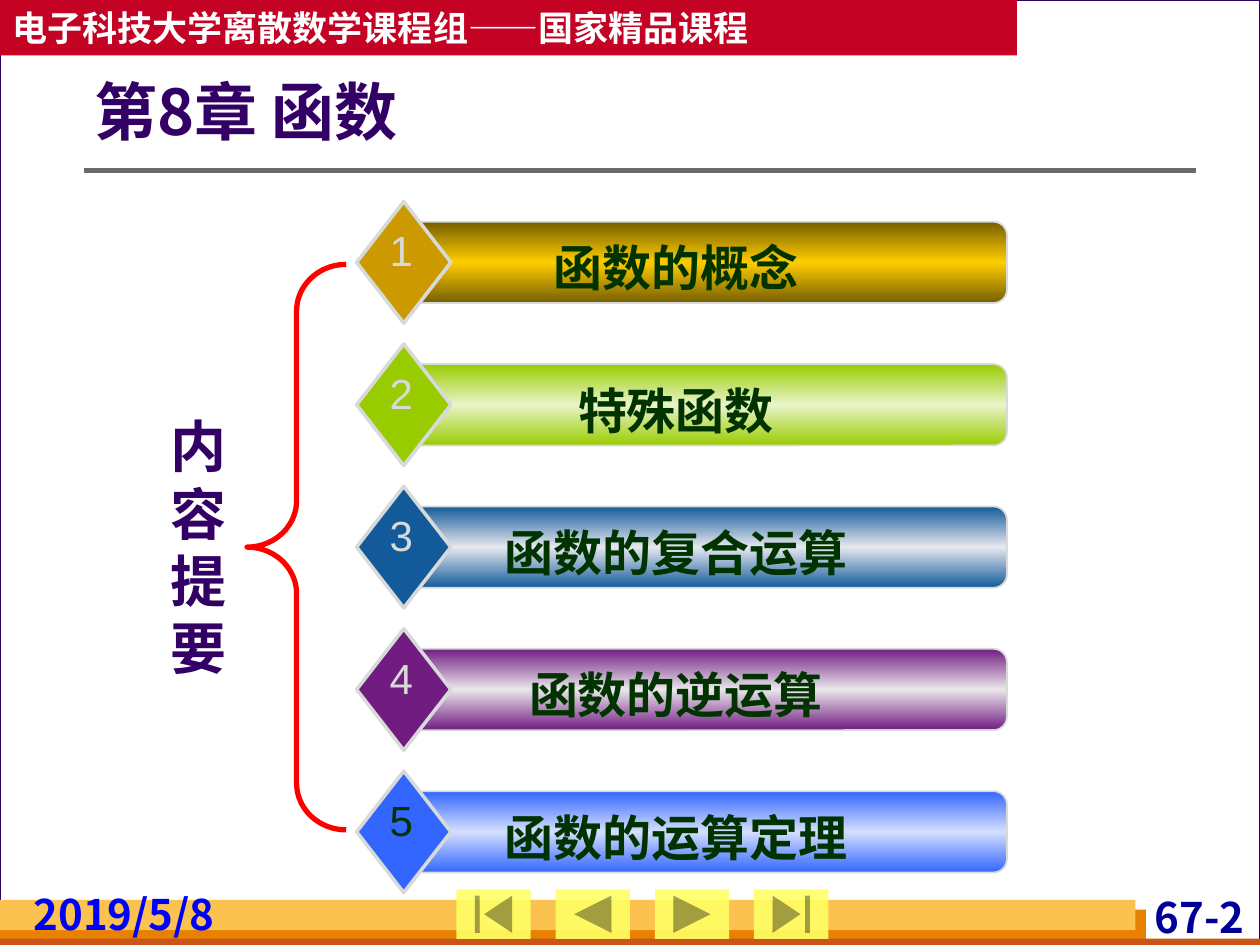
from copy import deepcopy

from lxml.etree import SubElement
from pptx import Presentation
from pptx.dml.color import RGBColor
from pptx.enum.shapes import MSO_CONNECTOR, MSO_SHAPE
from pptx.enum.text import MSO_ANCHOR, PP_ALIGN
from pptx.oxml.ns import qn
from pptx.util import Cm, Pt

WHITE = RGBColor(0xFF, 0xFF, 0xFF)
INDIGO = RGBColor(0x33, 0x00, 0x66)
CRIMSON = RGBColor(0xC3, 0x02, 0x24)
ORANGE = RGBColor(0xE8, 0x80, 0x00)
RUST = RGBColor(0xC9, 0x56, 0x16)
AMBER = RGBColor(0xFC, 0xC2, 0x4F)
YELLOW = RGBColor(0xFF, 0xFF, 0x66)
GRAY = RGBColor(0x6B, 0x6B, 0x6B)
SILVER = RGBColor(0xD8, 0xDA, 0xDA)
DARK_GREEN = RGBColor(0x00, 0x33, 0x00)
BLUE = RGBColor(0x00, 0x00, 0xFF)
NAVY = RGBColor(0x00, 0x00, 0x99)
RED = RGBColor(0xFF, 0x00, 0x00)
GOLD = RGBColor(0xCC, 0x99, 0x00)
LIME = RGBColor(0x99, 0xCC, 0x00)
STEEL = RGBColor(0x13, 0x5A, 0x9A)
PURPLE = RGBColor(0x71, 0x1C, 0x81)
AZURE = RGBColor(0x33, 0x66, 0xFF)

CJK_FONT = "Noto Sans CJK SC"
TITLE = "第8章 函数"
HEADER = "电子科技大学离散数学课程组——国家精品课程"
SIDE_LABEL = "内容提要"
DATE = "2019/5/8"
PAGE = "67-2"

# topic, diamond colour, bar edge colour, bar middle colour, number colour
TOPICS = [
    ("函数的概念", GOLD, RGBColor(0x76, 0x5E, 0x00), RGBColor(0xFF, 0xCC, 0x00), SILVER),
    ("特殊函数", LIME, LIME, RGBColor(0xE9, 0xF4, 0xC9), SILVER),
    ("函数的复合运算", STEEL, STEEL, RGBColor(0xE6, 0xE8, 0xEE), SILVER),
    ("函数的逆运算", PURPLE, PURPLE, RGBColor(0xEA, 0xE6, 0xEB), SILVER),
    ("函数的运算定理", AZURE, AZURE, RGBColor(0xD4, 0xDF, 0xFF), DARK_GREEN),
]
FIRST_TOP, PITCH, BAR_HEIGHT, DIAMOND_HEIGHT = 4.47, 2.87, 1.64, 2.45

# left, top, width, height, colour
FOOTER_BANDS = [
    (0, 18.34, 23.1, 0.71, ORANGE),
    (0, 18.92, 25.4, 0.13, RUST),
    (0, 18.14, 22.89, 0.61, AMBER),
]
BUTTONS = [
    MSO_SHAPE.ACTION_BUTTON_BEGINNING,
    MSO_SHAPE.ACTION_BUTTON_BACK_OR_PREVIOUS,
    MSO_SHAPE.ACTION_BUTTON_FORWARD_OR_NEXT,
    MSO_SHAPE.ACTION_BUTTON_END,
]


def add_shape(slide, kind, box, fill=None, line=None, line_width=1):
    shape = slide.shapes.add_shape(kind, *map(Cm, box))
    shape.shadow.inherit = False
    if fill is None:
        shape.fill.background()
    else:
        shape.fill.solid()
        shape.fill.fore_color.rgb = fill
    if line is None:
        shape.line.fill.background()
    else:
        shape.line.color.rgb = line
        shape.line.width = Pt(line_width)
    return shape


def write(shape, text, size, color, font=CJK_FONT, bold=True, align=PP_ALIGN.LEFT):
    shape.text_frame.text = text
    paragraph = shape.text_frame.paragraphs[0]
    paragraph.alignment = align
    run = paragraph.runs[0]
    run.font.size = Pt(size)
    run.font.bold = bold
    run.font.color.rgb = color
    run.font.name = font
    SubElement(run.font._element, qn("a:ea")).set("typeface", CJK_FONT)


def set_margins(frame, left, top, right, bottom):
    frame.margin_left, frame.margin_top = Cm(left), Cm(top)
    frame.margin_right, frame.margin_bottom = Cm(right), Cm(bottom)


def add_text(slide, box, text, size, color, wrap=True, **style):
    text_box = slide.shapes.add_textbox(*map(Cm, box))
    text_box.text_frame.word_wrap = wrap
    write(text_box, text, size, color, **style)
    return text_box


def shade(shape, edge, middle):
    """Fill with a vertical gradient running edge, middle, edge."""
    shape.fill.gradient()
    shape.fill.gradient_angle = 90
    stops = shape.fill.gradient_stops
    for stop, color, position in zip(stops, (edge, middle), (0, 0.5)):
        stop.color.rgb = color
        stop.position = position
    stop_list = shape._element.spPr.find(qn("a:gradFill")).find(qn("a:gsLst"))
    last_stop = deepcopy(stop_list[0])
    last_stop.set("pos", "100000")
    stop_list.append(last_stop)


def add_frame(slide):
    add_shape(slide, MSO_SHAPE.RECTANGLE, (0, 0, 25.4, 19.05), WHITE, INDIGO, 0.75)
    header = add_shape(slide, MSO_SHAPE.RECTANGLE, (0, 0, 20.5, 1.12), CRIMSON)
    write(header, HEADER, 20, WHITE)
    header.text_frame.vertical_anchor = MSO_ANCHOR.MIDDLE
    for *box, color in FOOTER_BANDS:
        add_shape(slide, MSO_SHAPE.RECTANGLE, box, color)

    rule = slide.shapes.add_connector(
        MSO_CONNECTOR.STRAIGHT, Cm(1.7), Cm(3.43), Cm(24.1), Cm(3.43))
    rule.line.color.rgb = GRAY
    rule.line.width = Pt(3)
    SubElement(rule._element.spPr, qn("a:effectLst"))

    for index, kind in enumerate(BUTTONS):
        button = add_shape(slide, kind, (9.2 + 2 * index, 17.93, 1.5, 1), YELLOW)
        color = button._element.spPr.find(qn("a:solidFill"))[0]
        SubElement(color, qn("a:alpha")).set("val", "90000")

    page = add_text(slide, (21.51, 17.98, 3.68, 1.02), PAGE, 24, NAVY,
                    align=PP_ALIGN.RIGHT)
    date = add_text(slide, (0.58, 17.91, 4.19, 1.02), DATE, 24, BLUE)
    for text_box in (page, date):
        set_margins(text_box.text_frame, 0.1, 0, 0.1, 0)


def place_title(slide):
    title = slide.shapes.title
    title.left, title.top, title.width, title.height = map(Cm, (1.9, 1.5, 22.05, 1.63))
    write(title, TITLE, 36, INDIGO)
    title.text_frame.vertical_anchor = MSO_ANCHOR.MIDDLE
    title.text_frame.paragraphs[0].line_spacing = 0.9
    set_margins(title.text_frame, 0, 0.13, 0.25, 0.13)
    # The title must lie above the white frame.
    slide.shapes._spTree.append(title._element)


def add_topic(slide, number, topic, diamond_color, edge, middle, number_color):
    top = FIRST_TOP + PITCH * (number - 1)
    bar = add_shape(slide, MSO_SHAPE.ROUNDED_RECTANGLE,
                    (8.23, top, 12.07, BAR_HEIGHT), edge, SILVER, 1)
    shade(bar, edge, middle)
    diamond_top = top + (BAR_HEIGHT - DIAMOND_HEIGHT) / 2
    add_shape(slide, MSO_SHAPE.DIAMOND, (7.19, diamond_top, 1.9, DIAMOND_HEIGHT),
              diamond_color, SILVER, 2)
    add_text(slide, (8.86, top + 0.2, 9.53, 1.45), topic, 28, DARK_GREEN,
             font="Arial", align=PP_ALIGN.CENTER)
    add_text(slide, (7.59, top - 0.06, 1, 1.27), str(number), 24, number_color,
             wrap=False, font="Arial", bold=False, align=PP_ALIGN.CENTER)


def main():
    presentation = Presentation()
    presentation.slide_width, presentation.slide_height = Cm(25.4), Cm(19.05)
    slide = presentation.slides.add_slide(presentation.slide_layouts[5])

    add_frame(slide)
    place_title(slide)
    for number, topic in enumerate(TOPICS, start=1):
        add_topic(slide, number, *topic)

    add_text(slide, (3.18, 8.18, 1.6, 5.66), SIDE_LABEL, 32, INDIGO)
    brace = add_shape(slide, MSO_SHAPE.LEFT_BRACE, (4.98, 5.33, 2, 11.4),
                      line=RED, line_width=3)
    brace.adjustments[0] = 0.47
    presentation.save("out.pptx")


if __name__ == "__main__":
    main()
